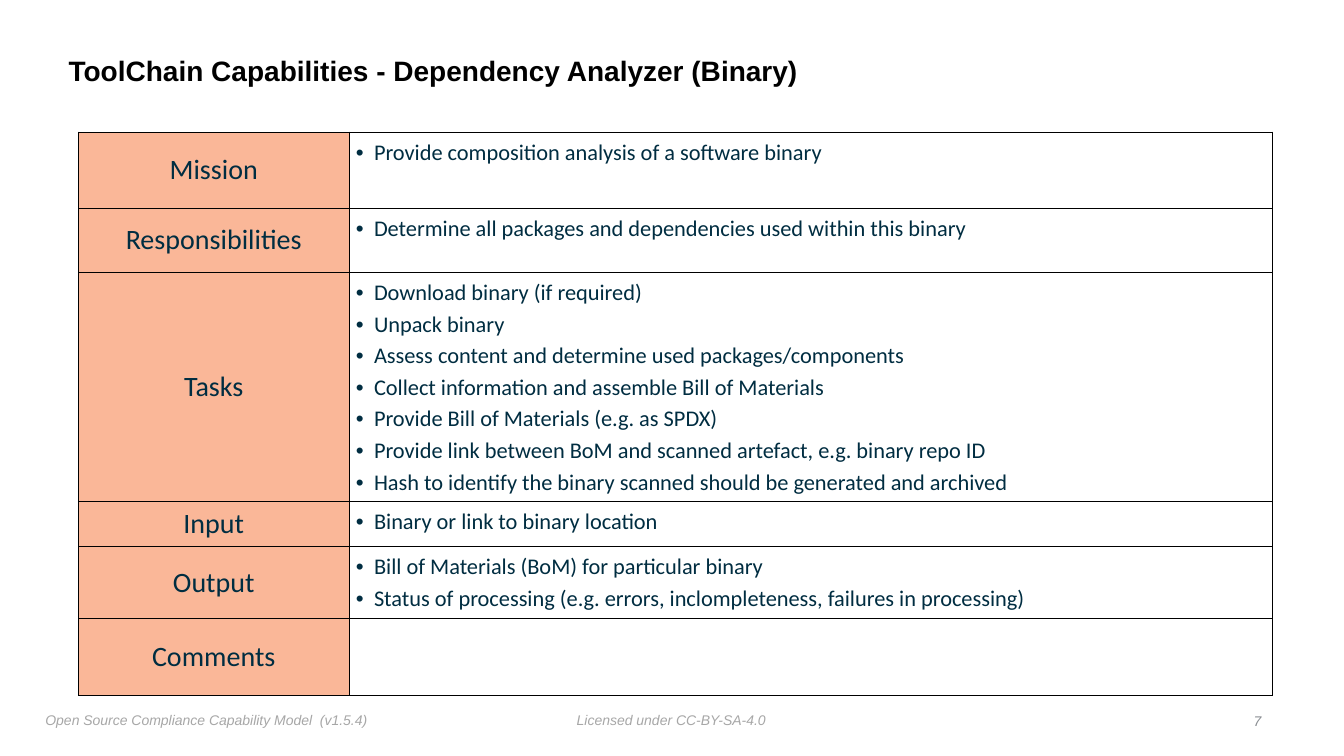
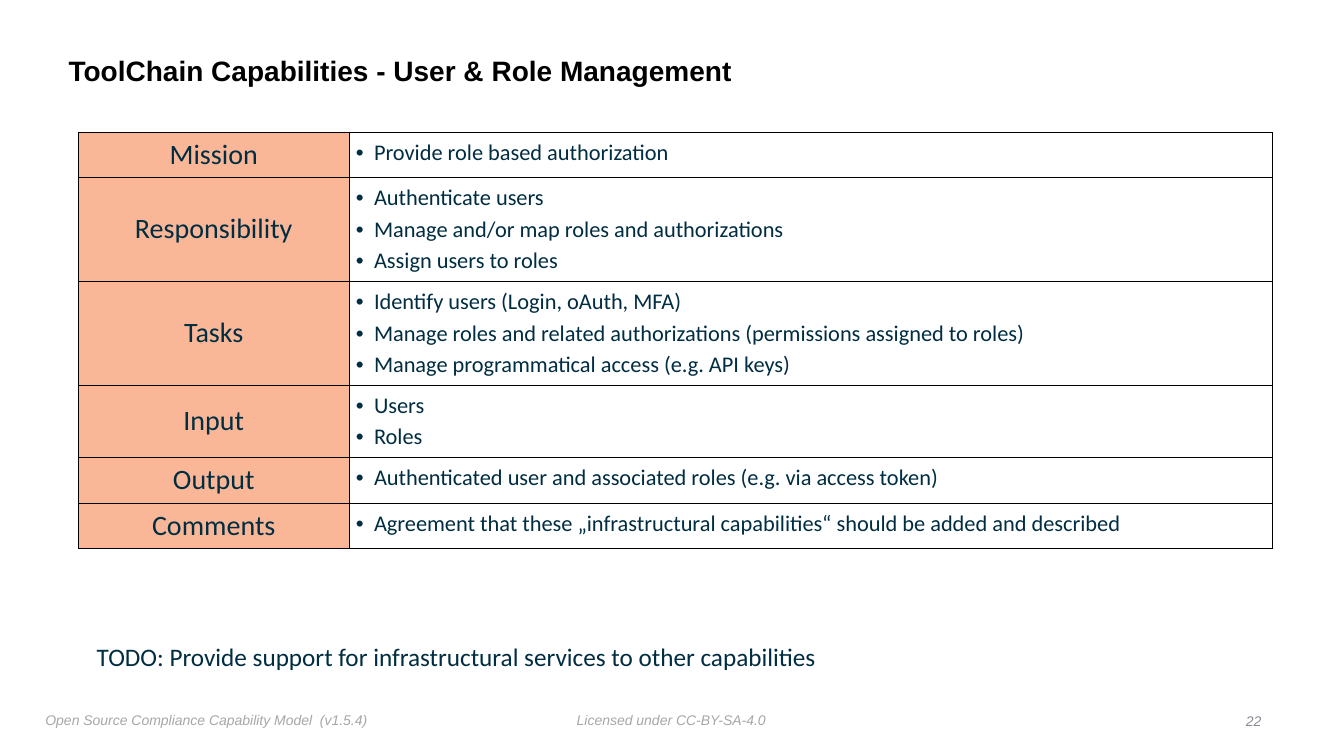
from lxml import etree
from pptx import Presentation
from pptx.dml.color import RGBColor
from pptx.enum.text import MSO_ANCHOR, PP_ALIGN
from pptx.oxml.ns import qn
from pptx.util import Inches, Pt

LEFT, CENTER, RIGHT = PP_ALIGN.LEFT, PP_ALIGN.CENTER, PP_ALIGN.RIGHT
TOP, MIDDLE = MSO_ANCHOR.TOP, MSO_ANCHOR.MIDDLE

BLACK = RGBColor(0x00, 0x00, 0x00)
WHITE = RGBColor(0xFF, 0xFF, 0xFF)
NAVY = RGBColor(0x00, 0x2D, 0x41)
PEACH = RGBColor(0xFA, 0xB7, 0x98)
FOOTER_GRAY = RGBColor(0xA7, 0xA7, 0xA7)
NUMBER_GRAY = RGBColor(0x88, 0x8C, 0x91)

HEADING_FONT, BODY_FONT = "Arial", "Calibri"
SLIDE_WIDTH, SLIDE_HEIGHT = 13.33, 7.5
TITLE_BOX = (0.63, 0.39, 10.75, 0.65)
MODEL_BOX = (0.4, 7.01, 3.32, 0.27)
LICENSE_BOX = (5.67, 7.01, 1.99, 0.25)
NUMBER_BOX = (12.26, 7.03, 0.3, 0.25)
NOTE_BOX = (0.91, 6.31, 8.04, 0.4)
TABLE_LEFT, TABLE_TOP = 0.78, 1.31
LABEL_WIDTH, DETAIL_WIDTH = 2.68, 9.16
ROW_HEIGHT, ROW_PADDING, LINE_HEIGHT = 0.45, 0.1, 0.31
TEXT_INSET, CELL_INSET, BULLET_INDENT = 0.05, 0.07, 0.18
BORDER_WIDTH = 0.5

CAPABILITIES = [
    {
        "title": "ToolChain Capabilities - Dependency Analyzer (Binary)",
        "number": 7,
        "minimum_heights": {"Mission": 0.76, "Responsibilities": 0.63, "Comments": 0.76},
        "rows": [
            ("Mission", ["Provide composition analysis of a software binary"]),
            ("Responsibilities", ["Determine all packages and dependencies used within this binary"]),
            ("Tasks", [
                "Download binary (if required)",
                "Unpack binary",
                "Assess content and determine used packages/components",
                "Collect information and assemble Bill of Materials",
                "Provide Bill of Materials (e.g. as SPDX)",
                "Provide link between BoM and scanned artefact, e.g. binary repo ID",
                "Hash to identify the binary scanned should be generated and archived",
            ]),
            ("Input", ["Binary or link to binary location"]),
            ("Output", [
                "Bill of Materials (BoM) for particular binary",
                "Status of processing (e.g. errors, inclompleteness, failures in processing)",
            ]),
            ("Comments", []),
        ],
    },
    {
        "title": "ToolChain Capabilities - User & Role Management",
        "number": 22,
        "rows": [
            ("Mission", ["Provide role based authorization"]),
            ("Responsibility", [
                "Authenticate users",
                "Manage and/or map roles and authorizations",
                "Assign users to roles",
            ]),
            ("Tasks", [
                "Identify users (Login, oAuth, MFA)",
                "Manage roles and related authorizations (permissions assigned to roles)",
                "Manage programmatical access (e.g. API keys)",
            ]),
            ("Input", ["Users", "Roles"]),
            ("Output", ["Authenticated user and associated roles (e.g. via access token)"]),
            ("Comments", ["Agreement that these „infrastructural capabilities“ should be added and described"]),
        ],
        "note": "TODO: Provide support for infrastructural services to other capabilities",
    },
]


def write_text(paragraph, text, size, font=BODY_FONT, color=NAVY, bold=False, italic=False, align=LEFT):
    paragraph.alignment = align
    run = paragraph.add_run()
    run.text = text
    run.font.name = font
    run.font.size = Pt(size)
    run.font.color.rgb = color
    run.font.bold = bold
    run.font.italic = italic


def add_text(slide, box, text, anchor=TOP, wrap=False, line_spacing=None, **text_format):
    frame = slide.shapes.add_textbox(*map(Inches, box)).text_frame
    frame.word_wrap = wrap
    frame.vertical_anchor = anchor
    frame.margin_left = frame.margin_right = Inches(TEXT_INSET)
    frame.margin_top = frame.margin_bottom = Inches(TEXT_INSET)
    paragraph = frame.paragraphs[0]
    paragraph.line_spacing = line_spacing
    write_text(paragraph, text, **text_format)


def add_bullet(paragraph):
    properties = paragraph._p.get_or_add_pPr()
    properties.set("marL", str(Inches(BULLET_INDENT)))
    properties.set("indent", str(-Inches(BULLET_INDENT)))
    etree.SubElement(properties, qn("a:buFont")).set("typeface", "Arial")
    etree.SubElement(properties, qn("a:buChar")).set("char", "•")


def style_cell(cell, fill, inset, anchor):
    properties = cell._tc.get_or_add_tcPr()
    for side in ("a:lnL", "a:lnR", "a:lnT", "a:lnB"):
        border = etree.SubElement(properties, qn(side), w=str(Pt(BORDER_WIDTH)))
        border_fill = etree.SubElement(border, qn("a:solidFill"))
        etree.SubElement(border_fill, qn("a:srgbClr"), val=str(BLACK))
    cell.fill.solid()
    cell.fill.fore_color.rgb = fill
    cell.margin_left = cell.margin_right = Inches(inset)
    cell.margin_top = cell.margin_bottom = Inches(inset)
    cell.vertical_anchor = anchor


def fill_details(cell, details):
    style_cell(cell, WHITE, CELL_INSET, TOP)
    frame = cell.text_frame
    for index, detail in enumerate(details):
        paragraph = frame.add_paragraph() if index else frame.paragraphs[0]
        add_bullet(paragraph)
        if index:
            paragraph.space_before = Pt(3)
        write_text(paragraph, detail, size=16)


def add_capability_table(slide, left, top, rows, minimum_heights):
    heights = [
        max(minimum_heights.get(label, ROW_HEIGHT), ROW_PADDING + LINE_HEIGHT * len(details))
        for label, details in rows
    ]
    box = (left, top, LABEL_WIDTH + DETAIL_WIDTH, sum(heights))
    table = slide.shapes.add_table(len(rows), 2, *map(Inches, box)).table
    table.first_row = table.horz_banding = False
    table.columns[0].width = Inches(LABEL_WIDTH)
    table.columns[1].width = Inches(DETAIL_WIDTH)
    for index, (label, details) in enumerate(rows):
        table.rows[index].height = Inches(heights[index])
        label_cell = table.cell(index, 0)
        style_cell(label_cell, PEACH, 0, MIDDLE)
        write_text(label_cell.text_frame.paragraphs[0], label, size=20, align=CENTER)
        fill_details(table.cell(index, 1), details)


def add_footer(slide, number):
    footer_format = {"size": 10, "font": HEADING_FONT, "italic": True}
    add_text(slide, LICENSE_BOX, "Licensed under CC-BY-SA-4.0", color=FOOTER_GRAY, **footer_format)
    add_text(slide, MODEL_BOX, "Open Source Compliance Capability Model  (v1.5.4)",
             color=FOOTER_GRAY, **footer_format)
    add_text(slide, NUMBER_BOX, str(number), anchor=MIDDLE, wrap=True, align=RIGHT,
             color=NUMBER_GRAY, **footer_format)


def add_capability_slide(presentation, title, number, rows, minimum_heights=None, note=None):
    slide = presentation.slides.add_slide(presentation.slide_layouts[6])
    add_text(slide, TITLE_BOX, title, anchor=MIDDLE, wrap=True, line_spacing=0.9,
             size=20, font=HEADING_FONT, color=BLACK, bold=True)
    add_capability_table(slide, TABLE_LEFT, TABLE_TOP, rows, minimum_heights or {})
    add_footer(slide, number)
    if note:
        add_text(slide, NOTE_BOX, note, size=18)


def main():
    presentation = Presentation()
    presentation.slide_width = Inches(SLIDE_WIDTH)
    presentation.slide_height = Inches(SLIDE_HEIGHT)
    for capability in CAPABILITIES:
        add_capability_slide(presentation, **capability)
    presentation.save("out.pptx")


if __name__ == "__main__":
    main()
